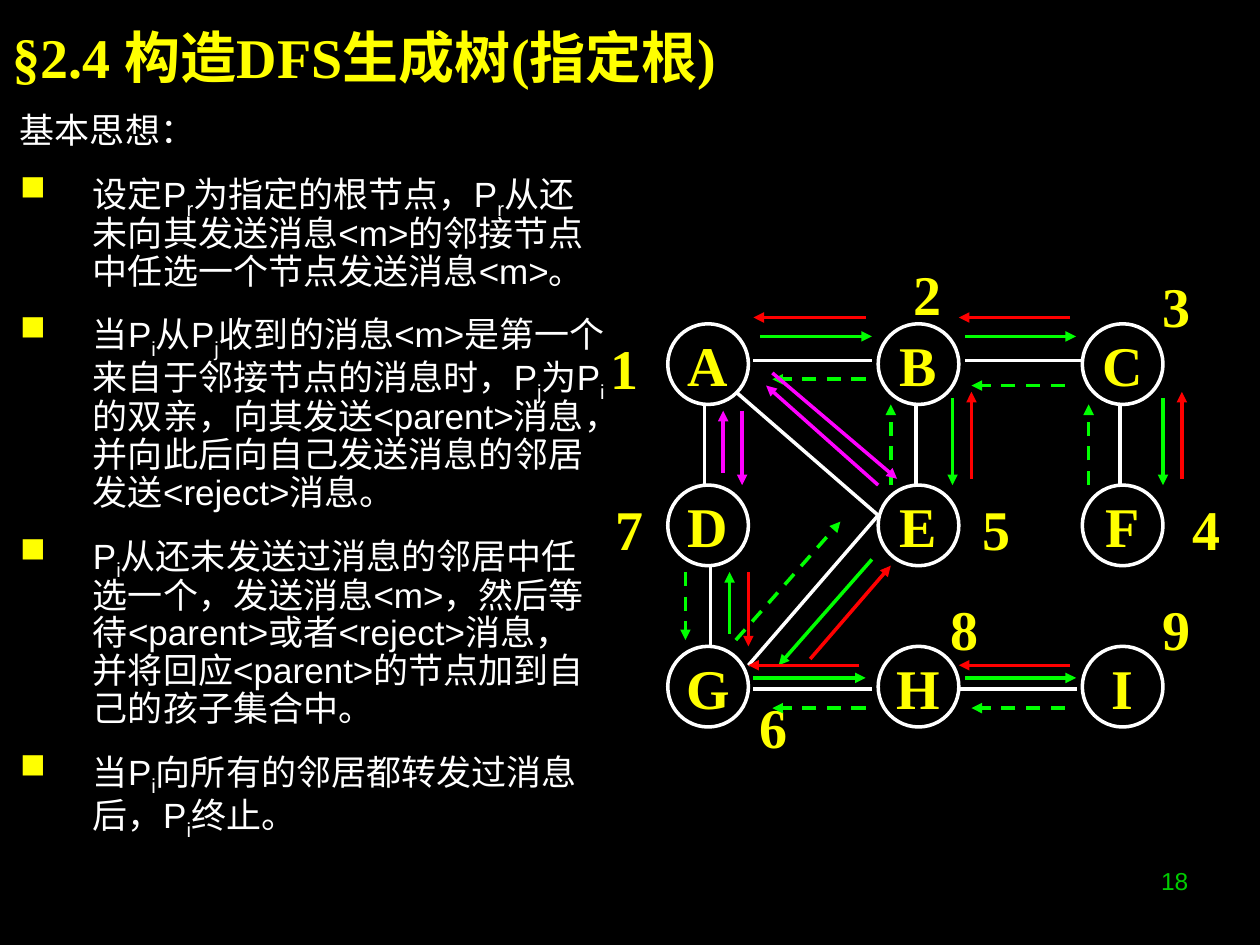
"""Build the slide on constructing a DFS spanning tree from a given root."""
from pptx import Presentation
from pptx.dml.color import RGBColor
from pptx.enum.dml import MSO_LINE_DASH_STYLE as Dash
from pptx.enum.shapes import MSO_CONNECTOR as Connector, MSO_SHAPE as Shape
from pptx.enum.text import MSO_ANCHOR as Anchor, MSO_AUTO_SIZE as AutoSize, PP_ALIGN as Align
from pptx.oxml.ns import qn
from pptx.util import Inches, Pt
from lxml.etree import SubElement

COLORS = {
    "black": "000000", "white": "FFFFFF", "yellow": "FFFF00", "green": "00FF00",
    "red": "FF0000", "magenta": "FF00FF", "page": "00CC00",
}
TITLE = "§2.4 构造DFS生成树(指定根)"
HEADING = "基本思想："
STEPS = [
    "设定P_r为指定的根节点，P_r从还未向其发送消息<m>的邻接节点中任选一个节点发送消息<m>。",
    "当P_i从P_j收到的消息<m>是第一个来自于邻接节点的消息时，P_j为P_i的双亲，"
    "向其发送<parent>消息，并向此后向自己发送消息的邻居发送<reject>消息。",
    "P_i从还未发送过消息的邻居中任选一个，发送消息<m>，然后等待<parent>或者<reject>消息，"
    "并将回应<parent>的节点加到自己的孩子集合中。",
    "当P_i向所有的邻居都转发过消息后，P_i终止。",
]
NODE_ROWS = ["ABC", "DEF", "GHI"]
NODE_LEFTS = [5.3, 6.97, 8.59]
NODE_TOP, NODE_PITCH, NODE_SIZE = 2.57, 1.28, 0.64
VISIT_ORDER = [
    (4.66, 2.62), (7.07, 2.03), (9.04, 2.13), (9.28, 3.9), (7.61, 3.9),
    (5.84, 5.47), (4.7, 3.9), (7.36, 4.69), (9.04, 4.69),
]
EDGES = [
    (5.98, 2.86, 6.92, 2.86), (7.66, 2.86, 8.59, 2.86),
    (5.98, 5.47, 6.92, 5.47), (7.61, 5.47, 8.55, 5.47),
    (5.59, 3.21, 5.59, 3.85), (7.27, 3.21, 7.27, 3.85),
    (8.89, 3.21, 8.89, 3.85), (5.64, 4.49, 5.64, 5.13),
    (5.84, 3.11, 6.97, 4.09), (6.97, 4.09, 5.94, 5.28),
]
FORWARD = [
    (6.03, 2.67, 6.92, 2.67), (7.66, 2.67, 8.54, 2.67),
    (9.23, 3.16, 9.23, 3.85), (7.56, 3.16, 7.56, 3.85),
    (6.92, 4.44, 6.18, 5.28), (5.79, 5.03, 5.79, 4.54),
    (5.98, 5.38, 6.87, 5.38), (7.66, 5.38, 8.54, 5.38),
]
RETURNING = [
    (8.64, 3.85, 8.64, 3.21), (8.45, 3.06, 7.71, 3.06),
    (5.44, 4.54, 5.44, 5.08), (8.45, 5.62, 7.71, 5.62),
    (6.87, 5.62, 6.13, 5.62), (5.84, 5.08, 6.67, 4.14),
    (7.07, 3.85, 7.07, 3.21), (6.87, 3.01, 6.13, 3.01),
]
PARENT = [
    (6.87, 2.52, 5.98, 2.52), (8.49, 2.52, 7.61, 2.52),
    (9.38, 3.8, 9.38, 3.11), (7.71, 3.8, 7.71, 3.11),
    (6.43, 5.23, 7.07, 4.49), (5.94, 4.54, 5.94, 5.13),
    (6.82, 5.28, 5.94, 5.28), (8.49, 5.28, 7.61, 5.28),
]
REJECT = [
    (5.74, 3.75, 5.74, 3.26), (5.89, 3.26, 5.89, 3.85),
    (6.97, 3.85, 6.08, 3.06), (6.13, 2.96, 7.12, 3.8),
]


def color(name):
    """Return the named colour."""
    return RGBColor.from_string(COLORS[name])


def write(paragraph, text, size=32, font="Times New Roman", fill="yellow", bold=True,
          align=Align.CENTER):
    """Write text, lowering each character that follows an underscore."""
    paragraph.alignment = align
    first, *rest = text.split("_")
    pieces = [(first, False)]
    for part in rest:
        pieces += [(part[0], True), (part[1:], False)]
    for piece, lowered in pieces:
        run = paragraph.add_run()
        run.text = piece
        run.font.size = Pt(size)
        run.font.name = font
        run.font.bold = bold
        run.font.color.rgb = color(fill)
        if lowered:
            run.font._element.set("baseline", "-25000")


class GraphSlide:
    """Hold the slide and the shared style of its elements."""

    body_style = {"size": 20, "font": "Arial", "fill": "white", "bold": False, "align": Align.LEFT}
    line_width = Pt(2)

    def __init__(self, presentation):
        """Add a black title-only slide."""
        self.slide = presentation.slides.add_slide(presentation.slide_layouts[5])
        self.slide.background.fill.solid()
        self.slide.background.fill.fore_color.rgb = color("black")

    def title(self, text, left, top, width, height):
        """Place and fill the title."""
        shape = self.slide.shapes.title
        shape.left, shape.top = Inches(left), Inches(top)
        shape.width, shape.height = Inches(width), Inches(height)
        frame = shape.text_frame
        frame.auto_size = AutoSize.NONE
        frame.vertical_anchor = Anchor.MIDDLE
        write(frame.paragraphs[0], text, align=Align.LEFT)

    def text_box(self, left, top, width, height, wrap=True, anchor=Anchor.TOP):
        """Add a text box and return its frame."""
        shape = self.slide.shapes.add_textbox(
            Inches(left), Inches(top), Inches(width), Inches(height))
        frame = shape.text_frame
        frame.word_wrap = wrap
        frame.vertical_anchor = anchor
        return frame

    def body(self, heading, steps, *box):
        """Add the heading and its bulleted steps."""
        frame = self.text_box(*box)
        for index, text in enumerate([heading, *steps]):
            paragraph = frame.add_paragraph() if index else frame.paragraphs[0]
            write(paragraph, text, **self.body_style)
            paragraph.line_spacing = 0.9
            properties = paragraph._p.get_or_add_pPr()
            properties.set("marL", str(Inches(0.58)))
            properties.set("indent", str(-Inches(0.58)))
            if index:
                paragraph.space_before = Pt(12.5)
                bullet_color = SubElement(properties, qn("a:buClr"))
                SubElement(bullet_color, qn("a:srgbClr"), val=COLORS["yellow"])
                SubElement(properties, qn("a:buChar"), char="■")

    def node(self, letter, left, top):
        """Add a circled graph node."""
        shape = self.slide.shapes.add_shape(
            Shape.OVAL, Inches(left), Inches(top), Inches(NODE_SIZE), Inches(NODE_SIZE))
        shape.shadow.inherit = False
        shape.fill.background()
        shape.line.color.rgb = color("white")
        shape.line.width = self.line_width
        frame = shape.text_frame
        frame.word_wrap = False
        frame.vertical_anchor = Anchor.MIDDLE
        write(frame.paragraphs[0], letter)

    def number(self, text, left, top):
        """Add a visit number beside a node."""
        frame = self.text_box(left, top, 0.59, 0.59, wrap=False, anchor=Anchor.MIDDLE)
        write(frame.paragraphs[0], text)

    def line(self, ends, fill, arrow=True, dashed=False):
        """Add a line, with an arrowhead at its end if asked."""
        connector = self.slide.shapes.add_connector(Connector.STRAIGHT, *map(Inches, ends))
        connector.line.color.rgb = color(fill)
        connector.line.width = self.line_width
        if dashed:
            connector.line.dash_style = Dash.DASH
        if arrow:
            SubElement(connector.line._get_or_add_ln(), qn("a:tailEnd"), type="triangle")
        SubElement(connector._element.spPr, qn("a:effectLst"))

    def page_number(self, text, *box):
        """Add the page number."""
        write(self.text_box(*box).paragraphs[0], text, size=14, font="Arial", fill="page",
              bold=False, align=Align.RIGHT)


def main():
    """Build and save the presentation."""
    presentation = Presentation()
    presentation.slide_width, presentation.slide_height = Inches(10), Inches(7.5)
    graph = GraphSlide(presentation)
    graph.title(TITLE, 0, 0, 9, 0.89)
    graph.body(HEADING, STEPS, 0.06, 0.85, 4.84, 6.65)
    for row, letters in enumerate(NODE_ROWS):
        for letter, left in zip(letters, NODE_LEFTS):
            graph.node(letter, left, NODE_TOP + row * NODE_PITCH)
    for ends in EDGES:
        graph.line(ends, "white", arrow=False)
    for order, (left, top) in enumerate(VISIT_ORDER, start=1):
        graph.number(str(order), left, top)
    for arrows, fill, dashed in [(FORWARD, "green", False), (RETURNING, "green", True),
                                 (PARENT, "red", False), (REJECT, "magenta", False)]:
        for ends in arrows:
            graph.line(ends, fill, dashed=dashed)
    graph.page_number("18", 7.2, 6.82, 2.33, 0.52)
    presentation.save("out.pptx")


if __name__ == "__main__":
    main()
